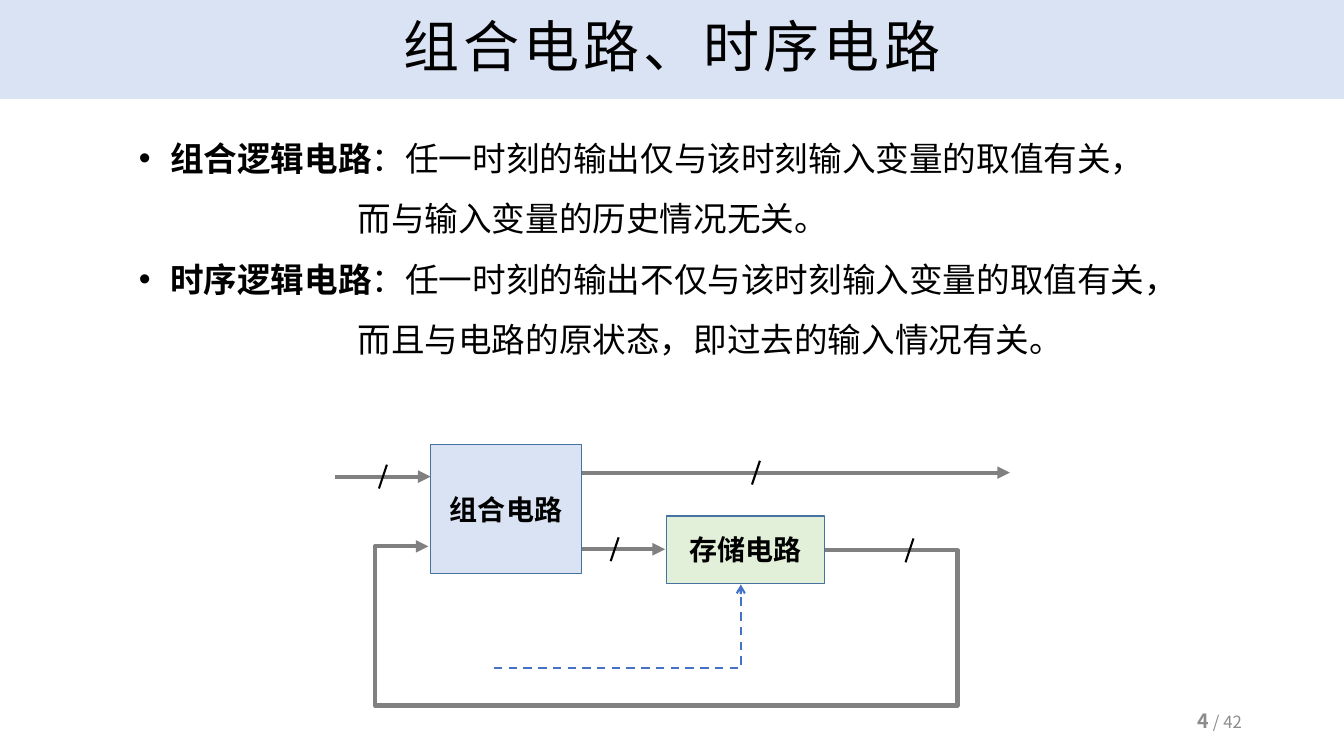
from lxml.etree import SubElement
from pptx import Presentation
from pptx.dml.color import RGBColor
from pptx.enum.dml import MSO_LINE
from pptx.enum.shapes import MSO_CONNECTOR, MSO_SHAPE
from pptx.enum.text import MSO_ANCHOR, MSO_AUTO_SIZE, PP_ALIGN
from pptx.oxml.ns import qn
from pptx.util import Cm, Pt

FONT = "Noto Sans CJK SC"
COLORS = {
    "text": "000000",
    "banner": "DAE3F3",
    "storage": "E2F0D9",
    "outline": "43739E",
    "wire": "808080",
    "clock": "4472C4",
    "number": "8C8C8C",
}
DEFINITIONS = [
    ("组合逻辑电路", "：任一时刻的输出仅与该时刻输入变量的取值有关，",
     "而与输入变量的历史情况无关。"),
    ("时序逻辑电路", "：任一时刻的输出不仅与该时刻输入变量的取值有关，",
     "而且与电路的原状态，即过去的输入情况有关。"),
]


def color(name):
    return RGBColor.from_string(COLORS[name])


def add_span(para, text, size, bold=False, ink="text"):
    span = para.add_run()
    span.text = text
    span.font.size = Pt(size)
    span.font.bold = bold
    span.font.color.rgb = color(ink)
    span.font.name = FONT
    properties = span._r.get_or_add_rPr()
    SubElement(properties, qn("a:ea")).set("typeface", FONT)
    return properties


def indent(para, left, first=0, bullet=None):
    properties = para._p.get_or_add_pPr()
    properties.set("marL", str(Cm(left)))
    properties.set("indent", str(Cm(first)))
    if bullet:
        SubElement(properties, qn("a:buFont")).set("typeface", "Arial")
        SubElement(properties, qn("a:buChar")).set("char", bullet)
    else:
        SubElement(properties, qn("a:buNone"))


def add_title(page, text):
    title = page.shapes.title
    title.left, title.top, title.width, title.height = Cm(0), Cm(0), Cm(33.87), Cm(2.49)
    title.fill.solid()
    title.fill.fore_color.rgb = color("banner")
    frame = title.text_frame
    frame.auto_size = MSO_AUTO_SIZE.NONE
    frame.vertical_anchor = MSO_ANCHOR.MIDDLE
    para = frame.paragraphs[0]
    para.alignment = PP_ALIGN.CENTER
    para.line_spacing = 0.9
    add_span(para, text, 40).set("spc", "300")


def add_text_box(page, left, top, width, height):
    box = page.shapes.add_textbox(Cm(left), Cm(top), Cm(width), Cm(height))
    box.text_frame.word_wrap = True
    return box.text_frame


def add_definitions(page):
    frame = add_text_box(page, 3.25, 2.84, 27.1, 6.25)
    para = frame.paragraphs[0]
    for index, (term, meaning, continuation) in enumerate(DEFINITIONS):
        if index:
            para = frame.add_paragraph()
        indent(para, 0.79, -0.79, "•")
        para.line_spacing = 1.5
        add_span(para, term, 24, bold=True)
        add_span(para, meaning, 24)
        para = frame.add_paragraph()
        indent(para, 5.51)
        para.line_spacing = 1.5
        add_span(para, continuation, 24)


def add_block(page, text, fill, left, top, width, height):
    block = page.shapes.add_shape(
        MSO_SHAPE.RECTANGLE, Cm(left), Cm(top), Cm(width), Cm(height))
    block.shadow.inherit = False
    block.fill.solid()
    block.fill.fore_color.rgb = color(fill)
    block.line.color.rgb = color("outline")
    block.line.width = Pt(1)
    block.text_frame.vertical_anchor = MSO_ANCHOR.MIDDLE
    para = block.text_frame.paragraphs[0]
    para.alignment = PP_ALIGN.CENTER
    add_span(para, text, 20, bold=True)


def add_line(page, start, end, ink="wire", width=3, head=None,
             kind=MSO_CONNECTOR.STRAIGHT):
    line = page.shapes.add_connector(kind, *map(Cm, start + end))
    line.line.color.rgb = color(ink)
    line.line.width = Pt(width)
    if head:
        SubElement(line.line._get_or_add_ln(), qn("a:tailEnd")).set("type", head)
    SubElement(line._element.spPr, qn("a:effectLst"))
    return line


def bend(line, preset, adjustments=()):
    geometry = line._element.spPr.find(qn("a:prstGeom"))
    geometry.set("prst", preset)
    guides = geometry.find(qn("a:avLst"))
    for number, ratio in enumerate(adjustments, 1):
        guide = SubElement(guides, qn("a:gd"))
        guide.set("name", f"adj{number}")
        guide.set("fmla", f"val {round(ratio * 100000)}")


def add_slash(page, x, y):
    add_line(page, (x + 0.1, y - 0.3), (x - 0.1, y + 0.3), "text", 1.5)


def add_feedback(page, start, end, right, bottom, left):
    line = add_line(page, start, end, head="triangle", kind=MSO_CONNECTOR.ELBOW)
    across, down = end[0] - start[0], end[1] - start[1]
    bend(line, "bentConnector5", (
        (right - start[0]) / across,
        (bottom - start[1]) / down,
        (left - start[0]) / across,
    ))


def add_clock(page, start, end):
    line = add_line(page, start, end, "clock", 1.5, "arrow", MSO_CONNECTOR.ELBOW)
    line.line.dash_style = MSO_LINE.DASH
    bend(line, "bentConnector2")


def add_circuit(page):
    add_block(page, "组合电路", "banner", 10.85, 11.2, 3.81, 3.25)
    add_block(page, "存储电路", "storage", 16.79, 13, 3.99, 1.7)
    for start, end, y, slash in [
        (8.43, 10.85, 12.01, 9.65),
        (14.66, 25.45, 11.91, 19.05),
        (14.66, 16.76, 13.84, 15.49),
    ]:
        add_line(page, (start, y), (end, y), head="triangle")
        add_slash(page, slash, y)
    add_feedback(page, (20.8, 13.87), (10.8, 13.77), 24.13, 17.78, 9.45)
    add_slash(page, 22.92, 13.87)
    add_clock(page, (12.45, 16.84), (18.67, 14.73))


def add_page_number(page, number, total):
    frame = add_text_box(page, 23.93, 17.65, 7.62, 1.02)
    frame.vertical_anchor = MSO_ANCHOR.MIDDLE
    para = frame.paragraphs[0]
    para.alignment = PP_ALIGN.RIGHT
    add_span(para, number, 14, bold=True, ink="number")
    add_span(para, f" / {total}", 12, ink="number")


def main():
    deck = Presentation()
    deck.slide_width, deck.slide_height = Cm(33.87), Cm(19.05)
    page = deck.slides.add_slide(deck.slide_layouts[5])
    add_title(page, "组合电路、时序电路")
    add_definitions(page)
    add_circuit(page)
    add_page_number(page, "4", "42")
    deck.save("out.pptx")


if __name__ == "__main__":
    main()
